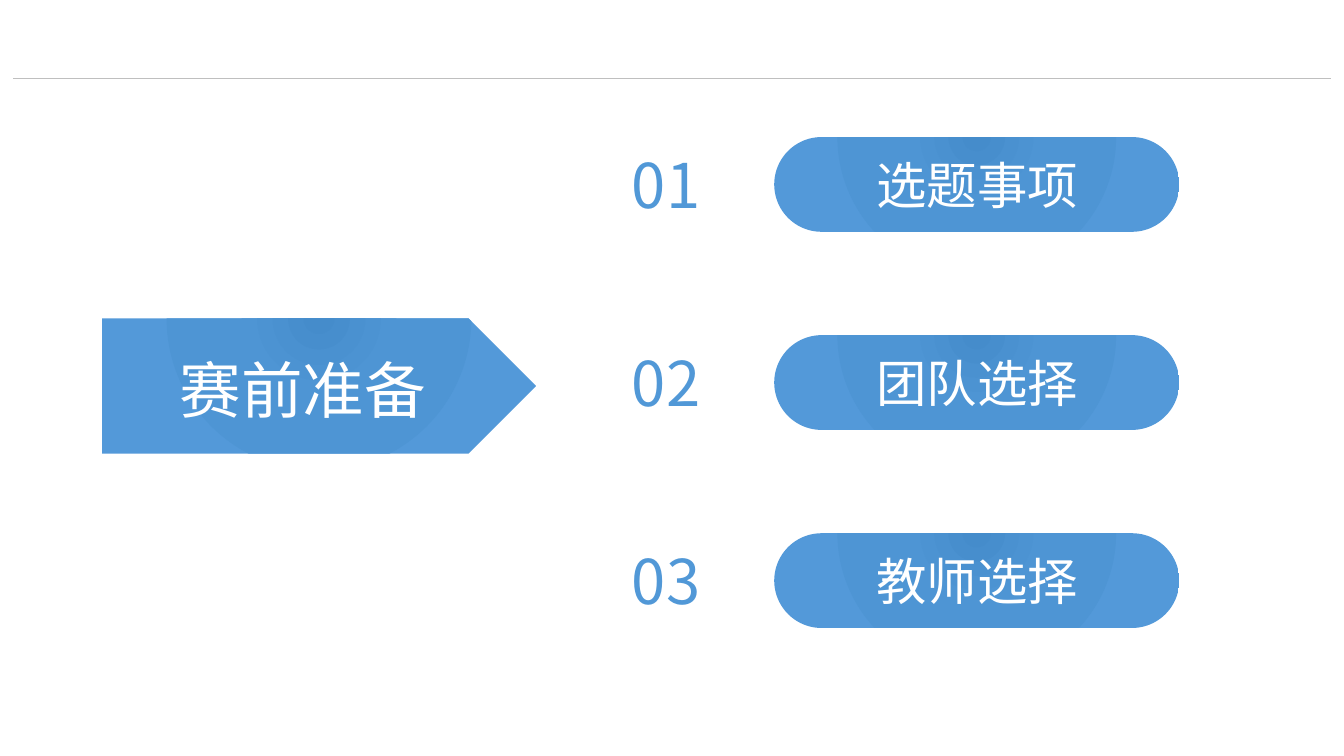
from lxml.etree import SubElement
from pptx import Presentation
from pptx.dml.color import RGBColor
from pptx.enum.shapes import MSO_CONNECTOR as Connector, MSO_SHAPE as Shape
from pptx.enum.text import MSO_AUTO_SIZE as AutoSize, PP_ALIGN as Align
from pptx.oxml.ns import qn
from pptx.util import Pt

TITLE = "赛前准备"
TOPICS = ["选题事项", "团队选择", "教师选择"]
FONT = "Noto Sans CJK SC"
WHITE, BLUE, GREY = "FFFFFF", "5198D7", "BFBFBF"
GRADIENT = [(0, "458CCB"), (34, "4E95D4"), (100, "5399D9")]
FOCUS = {"l": 50, "t": -80, "r": 50, "b": 180}
FIRST_ROW, ROW_STEP = 97.9, 141.5

presentation = Presentation()
presentation.slide_width, presentation.slide_height = Pt(960), Pt(540)
slide = presentation.slides.add_slide(presentation.slide_layouts[6])


def color(value):
    return RGBColor.from_string(value)


def add_text(text, left, top, width, height, size, fill=WHITE, align=Align.CENTER,
             wrap=True, padded=True):
    frame = slide.shapes.add_textbox(Pt(left), Pt(top), Pt(width), Pt(height)).text_frame
    frame.word_wrap = wrap
    frame.auto_size = AutoSize.SHAPE_TO_FIT_TEXT
    if not padded:
        frame.margin_left = frame.margin_right = frame.margin_top = frame.margin_bottom = 0
    paragraph = frame.paragraphs[0]
    paragraph.alignment = align
    run = paragraph.add_run()
    run.text = text
    run.font.size, run.font.name = Pt(size), FONT
    run.font.color.rgb = color(fill)
    SubElement(run.font._element, qn("a:ea"), typeface=FONT)


def add_gradient_shape(kind, left, top, width, height):
    shape = slide.shapes.add_shape(kind, Pt(left), Pt(top), Pt(width), Pt(height))
    shape.shadow.inherit = False
    shape.line.fill.background()
    properties = shape._element.spPr
    gradient = SubElement(properties, qn("a:gradFill"), rotWithShape="1")
    stops = SubElement(gradient, qn("a:gsLst"))
    for position, value in GRADIENT:
        stop = SubElement(stops, qn("a:gs"), pos=str(position * 1000))
        SubElement(stop, qn("a:srgbClr"), val=value)
    circle = SubElement(gradient, qn("a:path"), path="circle")
    SubElement(circle, qn("a:fillToRect"),
               {side: str(percent * 1000) for side, percent in FOCUS.items()})
    properties.find(qn("a:prstGeom")).addnext(gradient)
    return shape


rule = slide.shapes.add_connector(Connector.STRAIGHT, Pt(9.4), Pt(56.2), Pt(950.4), Pt(56.2))
rule.line.color.rgb = color(GREY)
rule.line.width = Pt(0.75)
SubElement(rule._element.spPr, qn("a:effectLst"))

add_gradient_shape(Shape.PENTAGON, 72.7, 227.5, 310.3, 96.5)
add_text(TITLE, 100, 247.7, 232.6, 60.5, 44)

for index, topic in enumerate(TOPICS):
    top = FIRST_ROW + index * ROW_STEP
    pill = add_gradient_shape(Shape.ROUNDED_RECTANGLE, 553, top, 289.4, 67.7)
    pill.adjustments[0] = 0.5
    add_text(topic, 581.8, top + 8.5, 232.6, 51, 36)
    add_text(f"{index + 1:02}", 451.4, top + 7, 54, 53.3, 44, fill=BLUE,
             align=Align.LEFT, wrap=False, padded=False)

presentation.save("out.pptx")
